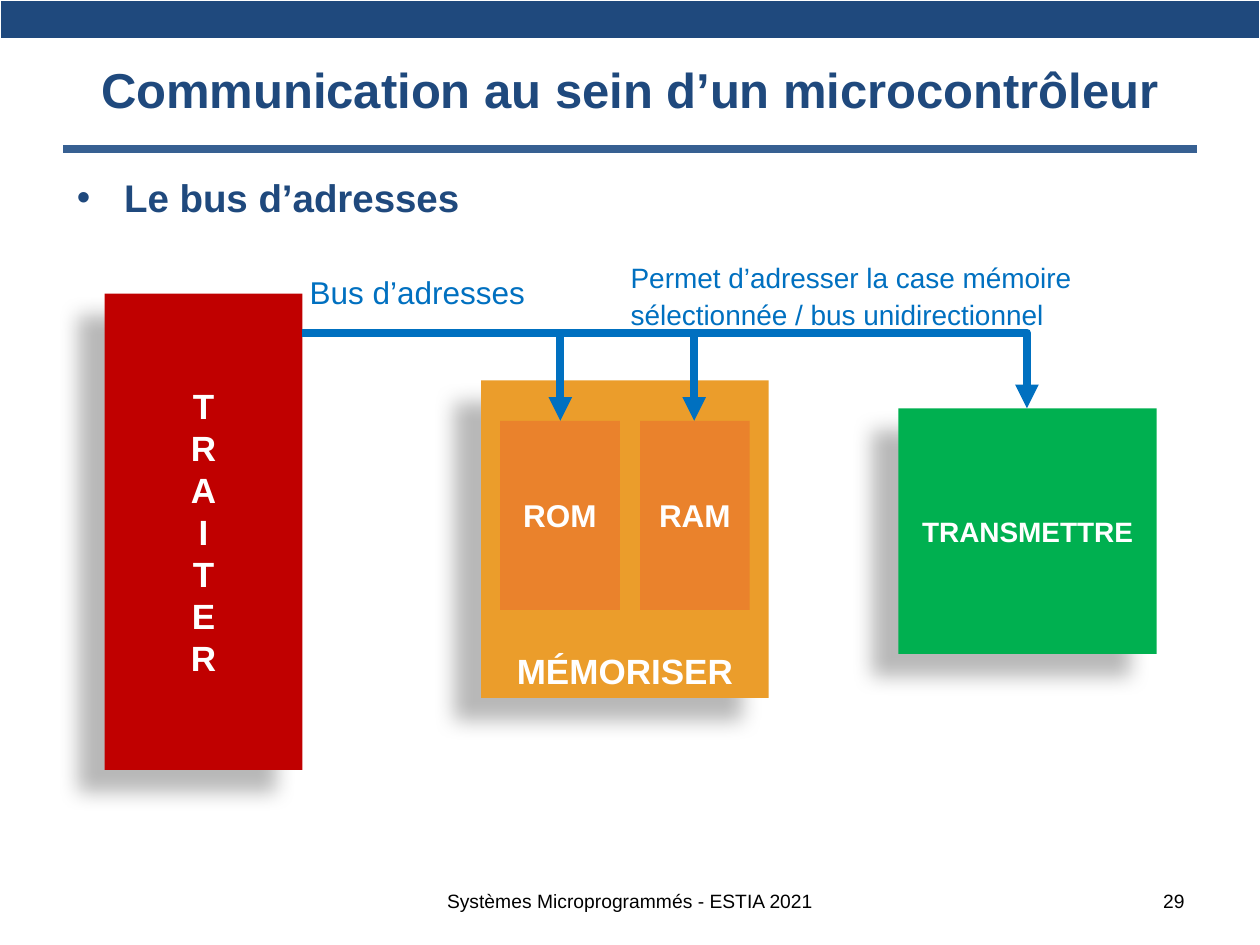
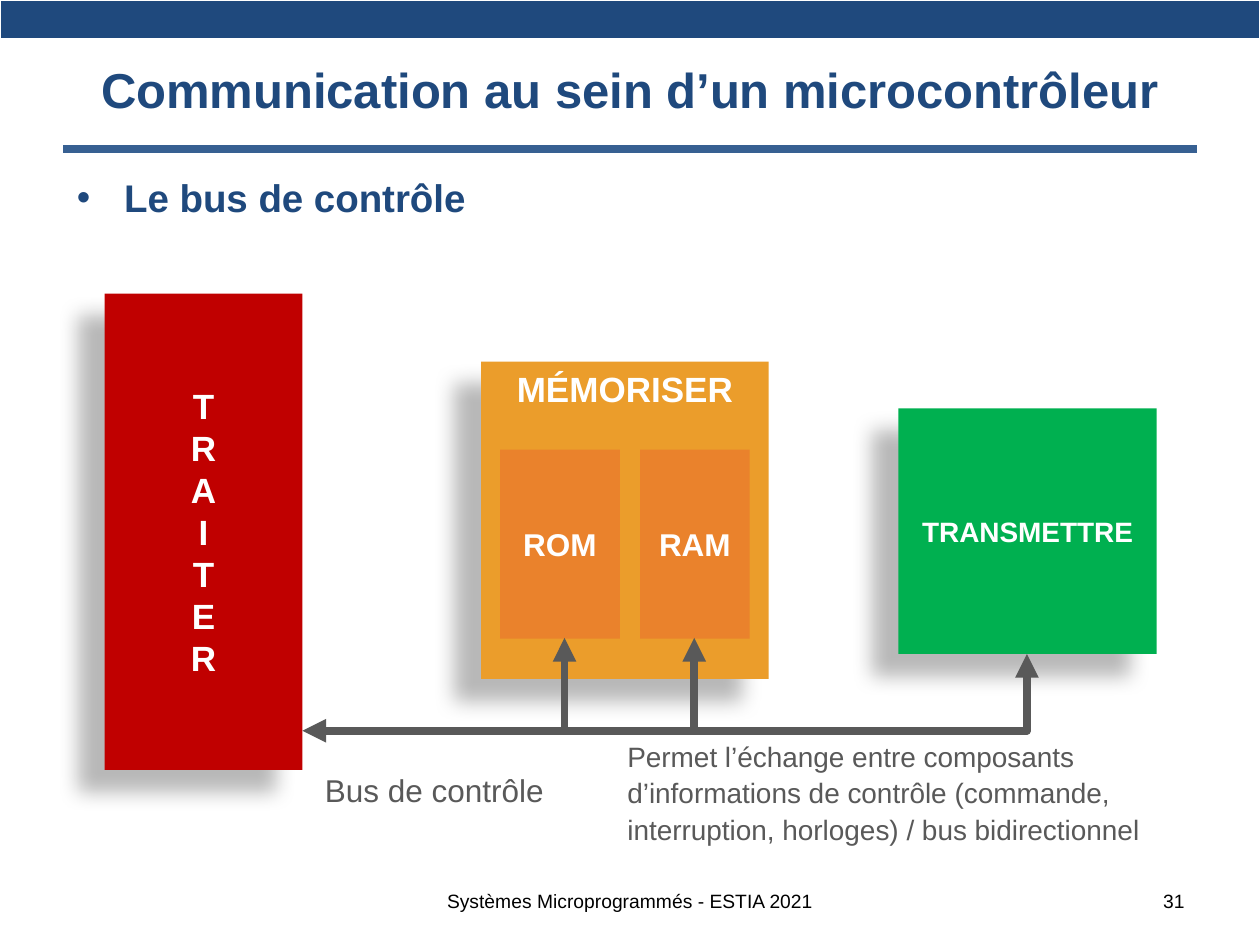
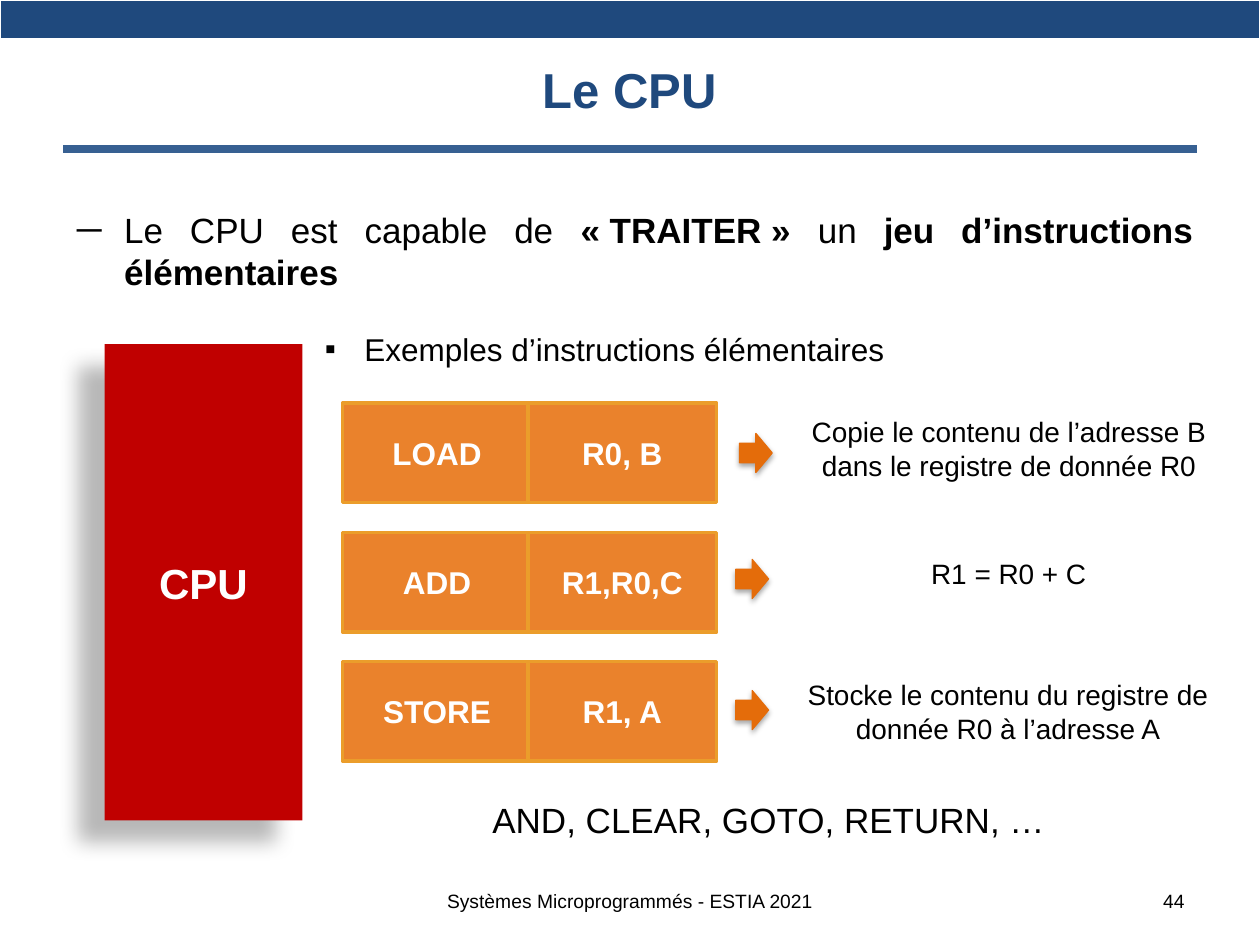
"""Build three course slides on microcontroller buses and the CPU."""
from dataclasses import dataclass

from lxml import etree
from pptx import Presentation
from pptx.dml.color import RGBColor
from pptx.enum import shapes, text
from pptx.oxml.ns import qn
from pptx.util import Pt


@dataclass(frozen=True)
class Theme:
    font: str = "Arial"
    navy: str = "1F497D"
    rule: str = "376092"
    black: str = "000000"
    white: str = "FFFFFF"
    red: str = "C00000"
    amber: str = "EB9D2B"
    orange: str = "EA822C"
    green: str = "00B050"
    arrow: str = "E46C0A"
    address: str = "0070C0"
    control: str = "595959"
    title_size: int = 28
    cpu_size: int = 24
    heading_size: int = 22
    large_size: int = 20
    label_size: int = 18
    note_size: int = 16
    footer_size: int = 11
    line_width: float = 4.5
    block_shadow: tuple = (28, 11.8, 19.7, 141)
    arrow_shadow: tuple = (35, 3.1, 1.8, 90)


THEME = Theme()
TOP, MIDDLE, BOTTOM = text.MSO_ANCHOR.TOP, text.MSO_ANCHOR.MIDDLE, text.MSO_ANCHOR.BOTTOM
LEFT, CENTER, RIGHT, JUSTIFY = (text.PP_ALIGN.LEFT, text.PP_ALIGN.CENTER,
                                text.PP_ALIGN.RIGHT, text.PP_ALIGN.JUSTIFY)

FOOTER = "Systèmes Microprogrammés - ESTIA 2021"
FOOTER_BOX = (203.8, 500.4, 312.5, 28.8)
NUMBER_BOX = (516.2, 500.4, 167.8, 28.8)
TITLE_BOX = (36, 12.2, 648, 77.8)
HEADING_BOX = (36.7, 95.8, 652.3, 72)
PROCESS_BOX = (59.8, 167.8, 113, 272.2)
TRANSMIT_BOX = (513.4, 233.3, 147.6, 140.4)
MEMORY_LEFT, MEMORY_WIDTH, MEMORY_HEIGHT = 275, 164.2, 181.4
CELLS = [("ROM", 285.8, 68.4), ("RAM", 365.8, 62.6)]
CELL_HEIGHT = 108

BUSES = [
    dict(number=29, heading="Le bus d’adresses", color=THEME.address,
         memory_top=217.4, cell_top=240.5, memory_anchor=BOTTOM, trunk=190.1,
         wires=[(172.8, 320.2, 240.5, False), (320.2, 586.8, 233.3, False),
                (294.5, 396.7, 240.5, False)],
         name="Bus d’adresses", name_box=(169.9, 152.6, 139, 28.8),
         caption="Permet d’adresser la case mémoire sélectionnée / bus unidirectionnel",
         caption_box=(353.3, 143.3, 278.6, 48.2)),
    dict(number=31, heading="Le bus de contrôle", color=THEME.control,
         memory_top=206.6, cell_top=257, memory_anchor=TOP, trunk=417.6,
         wires=[(188.6, 322.6, 364.6, False), (328.3, 586.8, 373.7, False),
                (172.8, 396.7, 364.6, True)],
         name="Bus de contrôle", name_box=(178.6, 437, 141.1, 28.8),
         caption="Permet l’échange entre composants d’informations de contrôle "
                 "(commande, interruption, horloges) / bus bidirectionnel",
         caption_box=(351.4, 416.9, 321.1, 69.8)),
]

CPU_TEXT = "Le CPU est capable de **«\u00a0TRAITER\u00a0»** un **jeu d’instructions élémentaires**"
CPU_TEXT_BOX = (36.7, 115.6, 652.3, 75)
CPU_BOX = (59.8, 196.6, 113, 272.2)
EXAMPLES = "Exemples d’instructions élémentaires"
MORE_EXAMPLES = "AND, CLEAR, GOTO, RETURN, …"
EXAMPLES_BOX = (178.6, 185, 521.3, 300.2)
INSTRUCTIONS = [
    dict(fields=("LOAD", "R0, B"), arrow=(422.6, 247.7), note_box=(453, 233.3, 247, 46),
         note="Copie le contenu de l’adresse B\ndans le registre de donnée R0"),
    dict(fields=("ADD", "R1,R0,C"), arrow=(420.5, 319.7), note_box=(524.2, 314.6, 104.4, 26.6),
         note="R1 = R0 + C"),
    dict(fields=("STORE", "R1, A"), arrow=(420.5, 394.6), note_box=(434.9, 383.8, 282.2, 46),
         note="Stocke le contenu du registre de\ndonnée R0 à l’adresse A"),
]
FIELD_LEFT, FIELD_TOP, FIELD_WIDTH, FIELD_HEIGHT = 195.8, 230.4, 108, 56.9
FIELD_STEP, ROW_STEP = 105.8, 73.8


def points(values):
    return [Pt(value) for value in values]


def add_bullet(paragraph, character, color, indent):
    properties = paragraph._p.get_or_add_pPr()
    properties.set("marL", str(Pt(indent)))
    properties.set("indent", str(-Pt(indent)))
    bullet_color = etree.SubElement(properties, qn("a:buClr"))
    etree.SubElement(bullet_color, qn("a:srgbClr"), val=color)
    etree.SubElement(properties, qn("a:buFont"), typeface=THEME.font)
    etree.SubElement(properties, qn("a:buChar"), char=character)


def add_paragraph(frame, content, size=THEME.label_size, color=THEME.black, bold=False,
                  align=LEFT, bullet=None, indent=0, before=0, spacing=None):
    """Fill the empty first paragraph or add one; ** marks toggle bold."""
    paragraph = frame.paragraphs[0] if not frame.text else frame.add_paragraph()
    if bullet:
        add_bullet(paragraph, bullet, color, indent)
    paragraph.alignment = align
    paragraph.space_before = Pt(before)
    if spacing:
        paragraph.line_spacing = spacing
    for index, part in enumerate(content.split("**")):
        if part:
            run = paragraph.add_run()
            run.text = part
            font = run.font
            font.name, font.size = THEME.font, Pt(size)
            font.bold = bold or index % 2 == 1
            font.color.rgb = RGBColor.from_string(color)


def write(shape, content, anchor=TOP, wrap=True, **style):
    frame = shape.text_frame
    frame.auto_size = text.MSO_AUTO_SIZE.NONE
    frame.word_wrap = wrap
    frame.vertical_anchor = anchor
    for line in content.split("\n"):
        add_paragraph(frame, line, **style)
    return frame


def add_text(slide, box, content, **style):
    return write(slide.shapes.add_textbox(*points(box)), content, **style)


def fill_placeholder(shape, box, content, **style):
    shape.left, shape.top, shape.width, shape.height = points(box)
    return write(shape, content, **style)


def add_shadow(shape, opacity, blur, distance, angle):
    effects = shape._element.spPr.find(qn("a:effectLst"))
    shadow = etree.SubElement(effects, qn("a:outerShdw"), blurRad=str(Pt(blur)),
                              dist=str(Pt(distance)), dir=str(angle * 60000),
                              algn="ctr", rotWithShape="0")
    color = etree.SubElement(shadow, qn("a:srgbClr"), val=THEME.black)
    etree.SubElement(color, qn("a:alpha"), val=str(opacity * 1000))


def add_block(slide, box, fill, label="", kind=shapes.MSO_SHAPE.RECTANGLE, line=None,
              line_width=2, shadow=None, size=THEME.label_size, anchor=MIDDLE):
    shape = slide.shapes.add_shape(kind, *points(box))
    shape.fill.solid()
    shape.fill.fore_color.rgb = RGBColor.from_string(fill)
    if line:
        shape.line.color.rgb = RGBColor.from_string(line)
        shape.line.width = Pt(line_width)
    else:
        shape.line.fill.background()
    shape.shadow.inherit = False
    if shadow:
        add_shadow(shape, *shadow)
    if label:
        write(shape, label, anchor=anchor, size=size, color=THEME.white, bold=True, align=CENTER)
    return shape


def add_line(slide, start, end, color, bent=False, arrows=()):
    kind = shapes.MSO_CONNECTOR.ELBOW if bent else shapes.MSO_CONNECTOR.STRAIGHT
    connector = slide.shapes.add_connector(kind, *points(start + end))
    connector.line.color.rgb = RGBColor.from_string(color)
    connector.line.width = Pt(THEME.line_width)
    properties = connector._element.spPr
    if bent:
        properties.find(qn("a:prstGeom")).set("prst", "bentConnector2")
    for arrow in arrows:
        etree.SubElement(properties.find(qn("a:ln")), qn(arrow), type="triangle")
    etree.SubElement(properties, qn("a:effectLst"))


def add_slide(presentation, title, number):
    slide = presentation.slides.add_slide(presentation.slide_layouts[1])
    add_line(slide, (36, 85), (684, 85), THEME.rule)
    cell = slide.shapes.add_table(1, 1, *points((0, 0, 720, 22.4))).table.cell(0, 0)
    cell.margin_top = cell.margin_bottom = Pt(0)
    cell.fill.solid()
    cell.fill.fore_color.rgb = RGBColor.from_string(THEME.navy)
    fill_placeholder(slide.shapes.title, TITLE_BOX, title, anchor=MIDDLE, align=CENTER,
                     size=THEME.title_size, color=THEME.navy, bold=True)
    for box, content, align in ((FOOTER_BOX, FOOTER, CENTER), (NUMBER_BOX, str(number), RIGHT)):
        add_text(slide, box, content, anchor=MIDDLE, align=align, size=THEME.footer_size)
    return slide


def add_bus_slide(presentation, bus):
    slide = add_slide(presentation, "Communication au sein d’un microcontrôleur", bus["number"])
    fill_placeholder(slide.placeholders[1], HEADING_BOX, bus["heading"], bullet="•", indent=27,
                     size=THEME.heading_size, color=THEME.navy, bold=True)
    add_block(slide, (MEMORY_LEFT, bus["memory_top"], MEMORY_WIDTH, MEMORY_HEIGHT), THEME.amber,
              "MÉMORISER", size=THEME.large_size, anchor=bus["memory_anchor"],
              shadow=THEME.block_shadow)
    for label, left, width in CELLS:
        add_block(slide, (left, bus["cell_top"], width, CELL_HEIGHT), THEME.orange, label)
    process = add_block(slide, PROCESS_BOX, THEME.red, "TRAITER", size=THEME.large_size,
                        shadow=THEME.block_shadow)
    process.text_frame._txBody.bodyPr.set("vert", "wordArtVert")
    add_block(slide, TRANSMIT_BOX, THEME.green, "TRANSMETTRE", size=THEME.note_size,
              shadow=THEME.block_shadow)
    for start, end, target, two_way in bus["wires"]:
        arrows = ("a:headEnd", "a:tailEnd") if two_way else ("a:tailEnd",)
        add_line(slide, (start, bus["trunk"]), (end, target), bus["color"], True, arrows)
    add_text(slide, bus["name_box"], bus["name"], wrap=False, color=bus["color"])
    add_text(slide, bus["caption_box"], bus["caption"], size=THEME.note_size,
             color=bus["color"], spacing=1.1)


def add_cpu_slide(presentation):
    slide = add_slide(presentation, "Le CPU", 44)
    fill_placeholder(slide.placeholders[1], CPU_TEXT_BOX, CPU_TEXT, bullet="─", indent=27,
                     size=THEME.large_size, align=JUSTIFY)
    examples = add_text(slide, EXAMPLES_BOX, EXAMPLES, bullet="▪", indent=22.5)
    add_paragraph(examples, MORE_EXAMPLES, size=THEME.large_size, align=CENTER, before=246)
    for row, instruction in enumerate(INSTRUCTIONS):
        for column, field in enumerate(instruction["fields"]):
            box = (FIELD_LEFT + column * FIELD_STEP, FIELD_TOP + row * ROW_STEP,
                   FIELD_WIDTH, FIELD_HEIGHT)
            add_block(slide, box, THEME.orange, field, line=THEME.amber)
        add_text(slide, instruction["note_box"], instruction["note"], wrap=False,
                 size=THEME.note_size, align=CENTER)
        add_block(slide, instruction["arrow"] + (18.7, 22.3), THEME.arrow,
                  kind=shapes.MSO_SHAPE.RIGHT_ARROW, line=THEME.arrow, line_width=0.75,
                  shadow=THEME.arrow_shadow)
    add_block(slide, CPU_BOX, THEME.red, "CPU", size=THEME.cpu_size, shadow=THEME.block_shadow)


def main():
    presentation = Presentation()
    presentation.slide_width, presentation.slide_height = Pt(720), Pt(540)
    for bus in BUSES:
        add_bus_slide(presentation, bus)
    add_cpu_slide(presentation)
    presentation.save("out.pptx")


if __name__ == "__main__":
    main()
